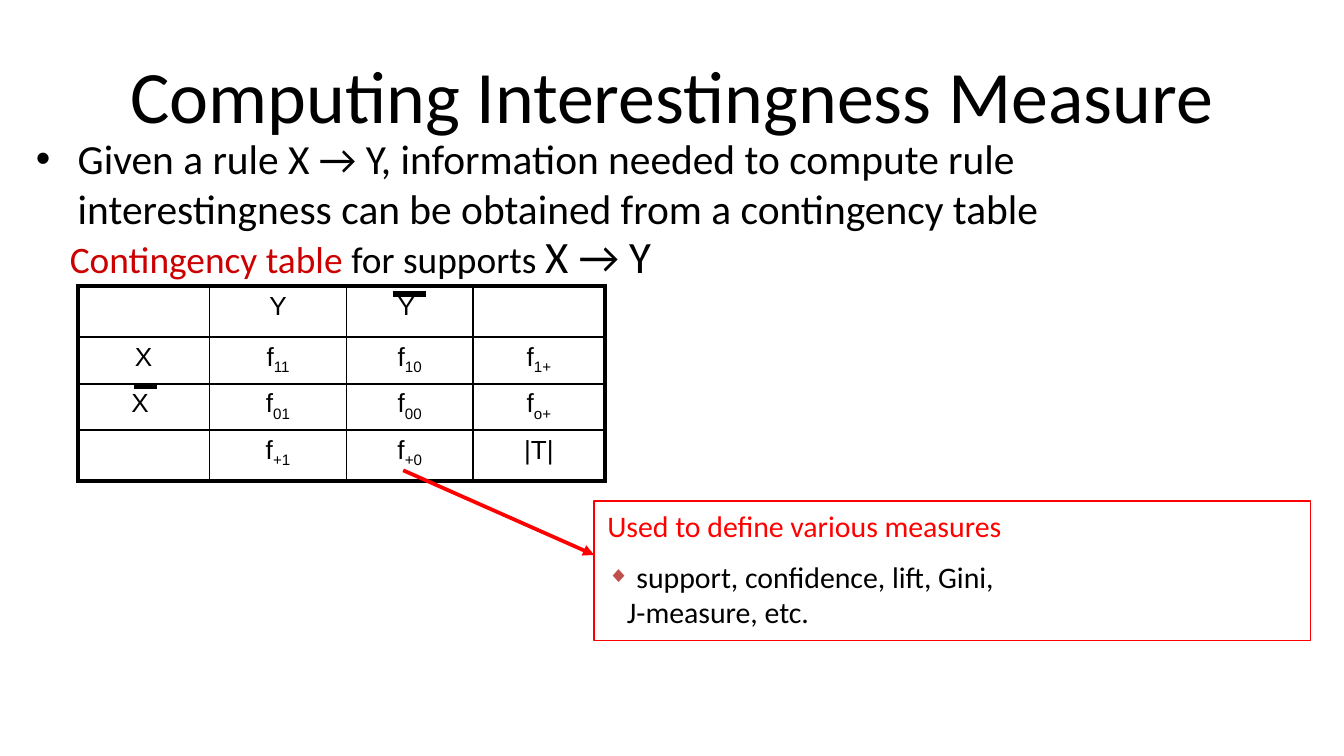
from lxml import etree
from pptx import Presentation
from pptx.dml.color import RGBColor
from pptx.enum.shapes import MSO_CONNECTOR as Conn, MSO_SHAPE as Shape
from pptx.enum.text import MSO_ANCHOR as Anchor, PP_ALIGN as Align
from pptx.oxml.ns import qn
from pptx.util import Cm, Pt

BLACK = RGBColor(0, 0, 0)
RED = RGBColor(255, 0, 0)
DARK = RGBColor(204, 0, 0)
RUST = RGBColor(192, 80, 77)

CELLS = [
    [("", ""), ("Y", ""), ("Y ", ""), ("", "")],
    [("X", ""), ("f", "11"), ("f", "10"), ("f", "1+")],
    [("X ", ""), ("f", "01"), ("f", "00"), ("f", "o+")],
    [("", ""), ("f", "+1"), ("f", "+0"), ("|T|", "")],
]
WIDTHS = [2.49, 2.59, 2.39, 2.49]
ROW = 0.88


def node(base, tag, **attrs):
    return etree.SubElement(base, qn(tag), attrs)


def style(font, size, color=BLACK, face="Calibri"):
    font.size = Pt(size)
    font.name = face
    font.color.rgb = color


def add_text(slide, left, top, width, height):
    box = slide.shapes.add_textbox(Cm(left), Cm(top), Cm(width), Cm(height))
    box.text_frame.word_wrap = True
    return box.text_frame


def add_bullet(para, char, left, color=None, scale=100):
    props = para._p.get_or_add_pPr()
    props.set("marL", str(Cm(left)))
    props.set("indent", str(-Cm(left)))
    spot = 0
    if color is not None:
        tint = etree.Element(qn("a:buClr"))
        node(tint, "a:srgbClr", val=str(color))
        size = etree.Element(qn("a:buSzPct"), val=str(scale * 1000))
        props.insert(0, tint)
        props.insert(1, size)
        spot = 2
    face = etree.Element(qn("a:buFont"), typeface="Arial")
    mark = etree.Element(qn("a:buChar"), char=char)
    props.insert(spot, face)
    props.insert(spot + 1, mark)


def add_line(slide, start, end, color, width, arrow=False):
    line = slide.shapes.add_connector(Conn.STRAIGHT, *map(Cm, start + end))
    line.line.color.rgb = color
    line.line.width = Pt(width)
    if arrow:
        node(line.line._get_or_add_ln(), "a:tailEnd", type="triangle")
    node(line._element.spPr, "a:effectLst")


def add_edge(cell, side, width):
    edge = node(cell._tc.get_or_add_tcPr(), f"a:ln{side}", w=str(Pt(width)))
    node(node(edge, "a:solidFill"), "a:srgbClr", val=str(BLACK))


def fill_cell(cell, main, sub):
    cell.margin_left = cell.margin_right = Cm(0.25)
    cell.margin_top = cell.margin_bottom = Cm(0.1)
    para = cell.text_frame.paragraphs[0]
    para.alignment = Align.CENTER
    para.space_after = Pt(4)
    style(para.font, 14, face="Arial")
    para.add_run().text = main
    if sub:
        run = para.add_run()
        run.text = sub
        run._r.get_or_add_rPr().set("baseline", "-25000")


def add_grid(slide, left, top):
    count = len(CELLS)
    frame = slide.shapes.add_table(count, len(WIDTHS), Cm(left), Cm(top),
                                   Cm(sum(WIDTHS)), Cm(ROW * count))
    table = frame.table
    table.first_row = table.horz_banding = False
    for col, width in zip(table.columns, WIDTHS):
        col.width = Cm(width)
    for r, line in enumerate(CELLS):
        table.rows[r].height = Cm(ROW)
        for c, (main, sub) in enumerate(line):
            cell = table.cell(r, c)
            fill_cell(cell, main, sub)
            outer = {"L": c == 0, "R": c == len(WIDTHS) - 1,
                     "T": r == 0, "B": r == count - 1}
            for side, thick in outer.items():
                add_edge(cell, side, 2.25 if thick else 1)
            cell.fill.background()


def add_title(slide):
    frame = add_text(slide, 1.27, 0.58, 22.86, 2.39)
    frame.vertical_anchor = Anchor.MIDDLE
    para = frame.paragraphs[0]
    para.text = "Computing Interestingness Measure"
    para.alignment = Align.CENTER
    style(para.font, 39.6)


def add_body(slide):
    para = add_text(slide, 0.43, 2.39, 23.93, 1.9).paragraphs[0]
    para.text = ("Given a rule X → Y, information needed to compute rule "
                 "interestingness can be obtained from a contingency table")
    style(para.font, 22.2)
    add_bullet(para, "•", 0.79)


def add_label(slide):
    para = add_text(slide, 1.07, 4.19, 11.63, 1.27).paragraphs[0]
    for text, size, color in [("Contingency table ", 20, DARK),
                              ("for supports ", 20, BLACK),
                              ("X → Y", 24, BLACK)]:
        run = para.add_run()
        run.text = text
        style(run.font, size, color)


def add_note(slide):
    box = slide.shapes.add_shape(Shape.RECTANGLE, Cm(11.23), Cm(9.47),
                                 Cm(13.54), Cm(2.64))
    box.shadow.inherit = False
    box.fill.background()
    box.line.color.rgb = RED
    box.line.width = Pt(1)
    frame = box.text_frame
    frame.word_wrap = True
    frame.vertical_anchor = Anchor.TOP
    head = frame.paragraphs[0]
    head.text = "Used to define various measures"
    item = frame.add_paragraph()
    item.text = " support, confidence, lift, Gini,\vJ-measure, etc."
    item.space_before = Pt(8)
    for para, color in [(head, RED), (item, BLACK)]:
        para.alignment = Align.LEFT
        style(para.font, 16, color)
    props = item._p.get_or_add_pPr()
    space = props.find(qn("a:spcBef"))
    props.remove(space)
    add_bullet(item, "◆", 0.37, RUST, 75)
    props.insert(0, space)


def main():
    deck = Presentation()
    deck.slide_width = Cm(25.4)
    deck.slide_height = Cm(14.29)
    slide = deck.slides.add_slide(deck.slide_layouts[6])
    add_title(slide)
    add_body(slide)
    add_grid(slide, 1.47, 5.41)
    add_label(slide)
    add_note(slide)
    add_line(slide, (7.62, 8.89), (11.23, 10.49), RED, 2, arrow=True)
    add_line(slide, (7.42, 5.56), (8.05, 5.56), BLACK, 3)
    add_line(slide, (2.54, 7.3), (2.97, 7.3), BLACK, 3)
    deck.save("out.pptx")


if __name__ == "__main__":
    main()
